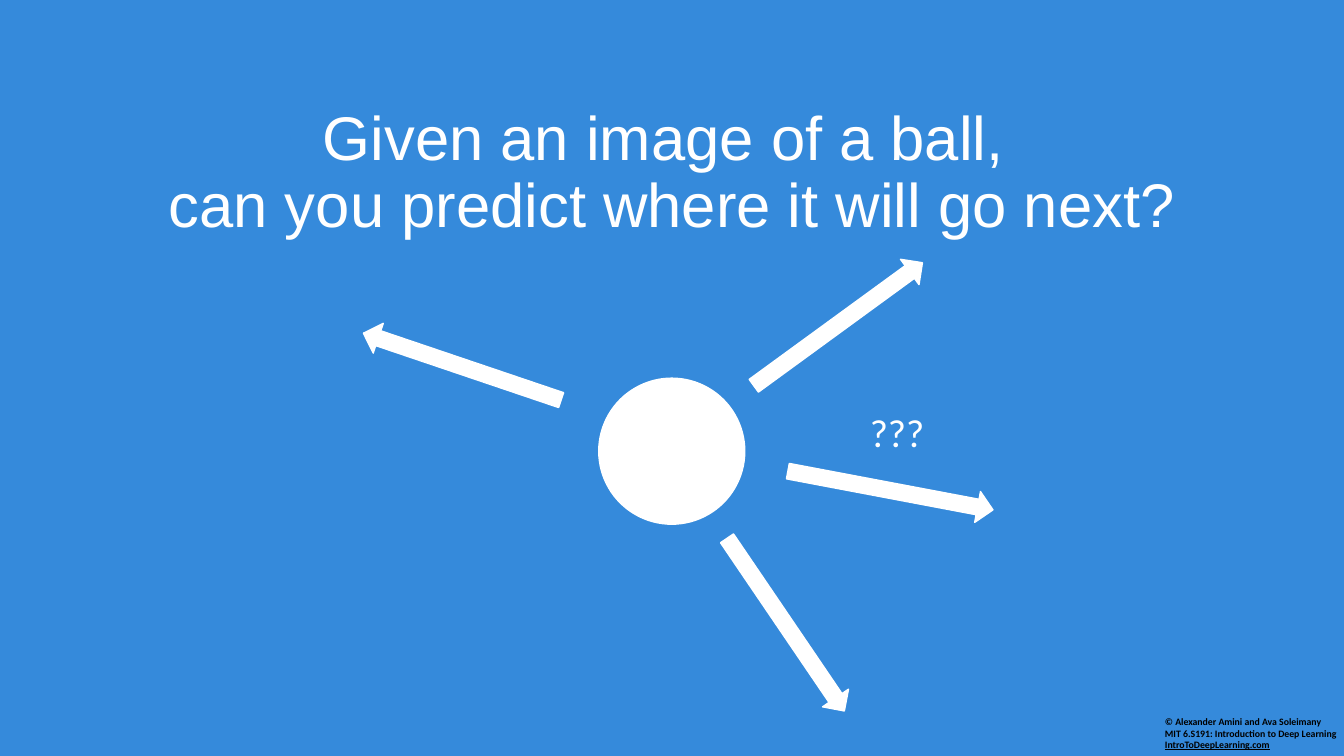
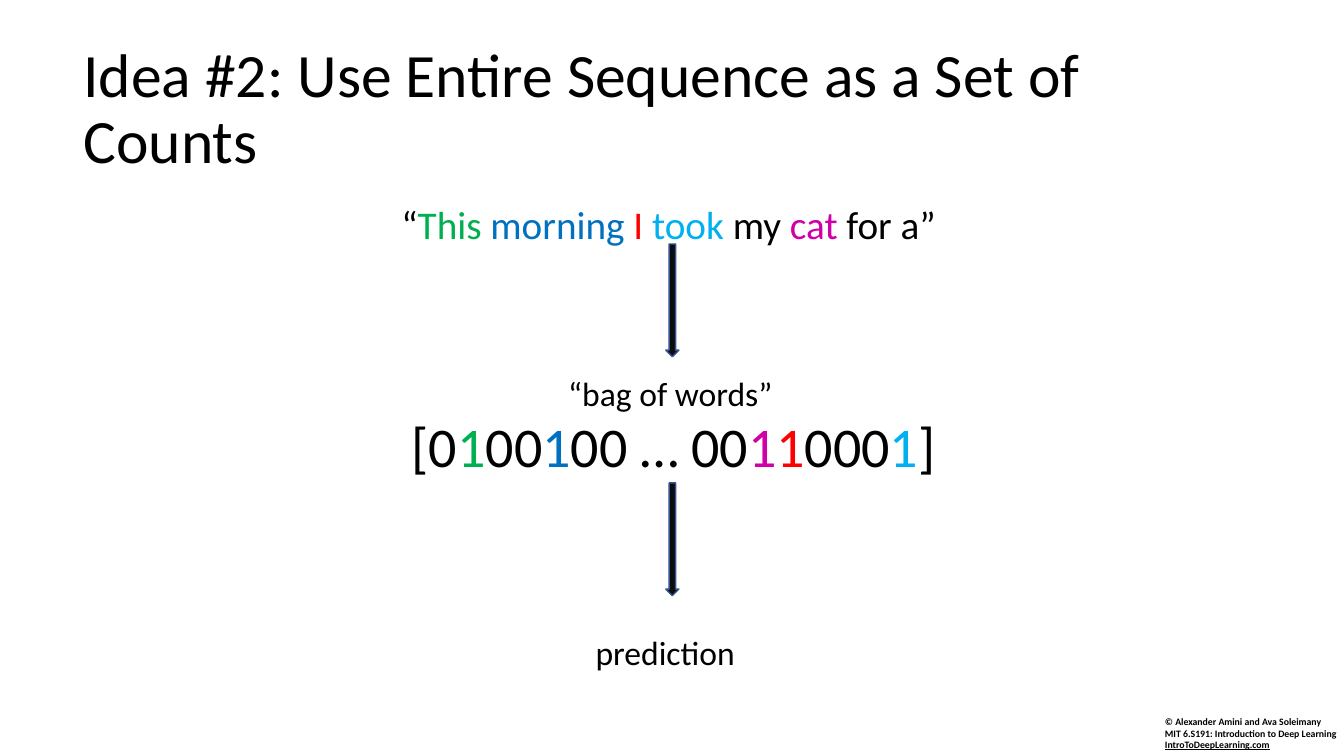
import dataclasses

import lxml.etree
import pptx
import pptx.dml.color
import pptx.enum.shapes
import pptx.enum.text
import pptx.oxml.ns
import pptx.util

Cm = pptx.util.Cm
Shapes = pptx.enum.shapes.MSO_SHAPE
Align = pptx.enum.text.PP_ALIGN
Anchor = pptx.enum.text.MSO_ANCHOR


@dataclasses.dataclass(frozen=True)
class Theme:
    body_font: str = "Calibri"
    question_font: str = "Arial"
    title_size: float = 44
    vector_size: float = 40
    sentence_size: float = 28
    label_size: float = 24
    footer_size: float = 7
    title_spacing: float = 0.9
    blue: str = "358ADB"
    white: str = "FFFFFF"
    black: str = "000000"
    arrow_fill: str = "0D0D0D"
    arrow_line: str = "325491"
    # One colour for each counted word
    this: str = "00B050"
    morning: str = "0070C0"
    i: str = "FF0000"
    took: str = "00B0F0"
    cat: str = "D000A8"


THEME = Theme()


@dataclasses.dataclass(frozen=True)
class Box:
    """A rectangle in centimetres."""
    left: float
    top: float
    width: float
    height: float

    def inner(self, left, top, width, height):
        return Box(self.left + left, self.top + top, width, height)

    def lengths(self):
        return [Cm(value) for value in (self.left, self.top, self.width, self.height)]


SLIDE = Box(0, 0, 33.87, 19.05)


def rgb(value):
    return pptx.dml.color.RGBColor.from_string(value)


def write_text(shape, runs, size, font=THEME.body_font, color=THEME.black, bold=False,
               align=Align.LEFT, anchor=Anchor.TOP, spacing=1.0, bullet=True):
    """Fill one paragraph; each run is a text or a pair of text and its own format."""
    frame = shape.text_frame
    frame.word_wrap = True
    frame.auto_size = pptx.enum.text.MSO_AUTO_SIZE.NONE
    frame.vertical_anchor = anchor
    paragraph = frame.paragraphs[0]
    if not bullet:
        properties = paragraph._p.get_or_add_pPr()
        properties.set("marL", "0")
        properties.set("indent", "0")
        lxml.etree.SubElement(properties, pptx.oxml.ns.qn("a:buNone"))
    paragraph.alignment = align
    paragraph.line_spacing = spacing
    paragraph.space_before = pptx.util.Pt(0)
    for item in runs:
        text, own = (item, {}) if isinstance(item, str) else item
        for number, line in enumerate(text.split("\n")):
            if number:
                paragraph.add_line_break()
            if line:
                run = paragraph.add_run()
                run.text = line
                run.font.name = font
                run.font.size = pptx.util.Pt(size)
                run.font.bold = bold
                run.font.underline = own.get("underline", False)
                run.font.color.rgb = rgb(own.get("color", color))


def place(shape, box):
    shape.left, shape.top, shape.width, shape.height = box.lengths()


def add_label(slide, box, runs, size, **text_format):
    label = slide.shapes.add_textbox(*box.lengths())
    write_text(label, runs, size, **text_format)
    return label


def add_filled_shape(slide, kind, box, fill, line, rotation=0):
    shape = slide.shapes.add_shape(kind, *box.lengths())
    shape.shadow.inherit = False
    shape.fill.solid()
    shape.fill.fore_color.rgb = rgb(fill)
    shape.line.color.rgb = rgb(line)
    shape.line.width = pptx.util.Pt(1)
    shape.rotation = rotation


def add_footer(slide, box):
    footer = add_label(
        slide, box,
        ["© Alexander Amini and Ava Soleimany\nMIT 6.S191: Introduction to Deep Learning\n",
         ("IntroToDeepLearning.com", {"underline": True})],
        THEME.footer_size, bold=True)
    footer.text_frame.margin_right = 0


def start_slide(presentation, layout, background, title, title_box, **title_format):
    """Add a slide with the shared background, title style and footer."""
    slide = presentation.slides.add_slide(presentation.slide_layouts.get_by_name(layout))
    slide.background.fill.solid()
    slide.background.fill.fore_color.rgb = rgb(background)
    add_footer(slide, SLIDE.inner(29.11, 17.91, 4.76, 1.14))
    place(slide.shapes.title, title_box)
    write_text(slide.shapes.title, [title], THEME.title_size, anchor=Anchor.MIDDLE,
               spacing=THEME.title_spacing, **title_format)
    return slide


def draw_ball(slide, box):
    """Draw the ball in its box, with possible directions around it."""
    add_filled_shape(slide, Shapes.OVAL, box, THEME.white, THEME.white)
    add_label(slide, box.inner(6.58, 0.63, 4.47, 1.45), ["???"], THEME.sentence_size,
              color=THEME.white)

    # Arrow centres, measured from the ball's centre, and rotations
    length, thickness = 5.26, 0.79
    directions = [(-5.28, -2.13, 18.7), (5.51, 0.99, 190.7),
                  (4.19, -3.2, 143.9), (2.87, 4.37, 235.8)]
    for across, down, rotation in directions:
        arrow_box = box.inner((box.width - length) / 2 + across,
                              (box.height - thickness) / 2 + down, length, thickness)
        add_filled_shape(slide, Shapes.LEFT_ARROW, arrow_box, THEME.white, THEME.white,
                         rotation)


def draw_counting_flow(slide, box):
    """Draw sentence, bag of words and prediction from top to bottom."""
    this, morning, i, took, cat = (
        {"color": color}
        for color in (THEME.this, THEME.morning, THEME.i, THEME.took, THEME.cat))

    # Sentence
    sentence = slide.placeholders[1]
    place(sentence, box.inner(0, 0, box.width, 1.45))
    write_text(sentence,
               ["“", ("This ", this), ("morning ", morning), ("I ", i), ("took", took),
                " my ", ("cat", cat), " for a”"],
               THEME.sentence_size, spacing=THEME.title_spacing, bullet=False)

    # Count vector and labels
    add_label(slide, box.inner(0.27, 5.19, 13.94, 1.96),
              ["[0", ("1", this), "00", ("1", morning), "00 … 00", ("1", cat), ("1", i),
               "000", ("1", took), "]"], THEME.vector_size)
    add_label(slide, box.inner(4.9, 10.75, 4.37, 1.27), ["prediction"], THEME.label_size)
    add_label(slide, box.inner(4.21, 4.22, 5.69, 1.27), ["“bag of words”"],
              THEME.label_size)

    # Arrows between the steps
    width = 0.33
    for top in (1.1, 7.12):
        add_filled_shape(slide, Shapes.DOWN_ARROW,
                         box.inner((box.width - width) / 2, top, width, 2.84),
                         THEME.arrow_fill, THEME.arrow_line)


def build_question_slide(presentation):
    slide = start_slide(
        presentation, "Title Only", THEME.blue,
        "Given an image of a ball, \ncan you predict where it will go next?",
        SLIDE.inner(2.34, 2.54, 29.21, 3.68),
        font=THEME.question_font, color=THEME.white, align=Align.CENTER)
    draw_ball(slide, SLIDE.inner(15.09, 9.53, 3.68, 3.68))


def build_counts_slide(presentation):
    slide = start_slide(
        presentation, "Title and Content", THEME.white,
        "Idea #2: Use Entire Sequence as a Set of Counts",
        SLIDE.inner(1.85, 0.94, 30.15, 3.68))
    draw_counting_flow(slide, SLIDE.inner(9.86, 5.05, 14.17, 12.02))


def main():
    presentation = pptx.Presentation()
    presentation.slide_width = Cm(SLIDE.width)
    presentation.slide_height = Cm(SLIDE.height)
    build_question_slide(presentation)
    build_counts_slide(presentation)
    presentation.save("out.pptx")


if __name__ == "__main__":
    main()
